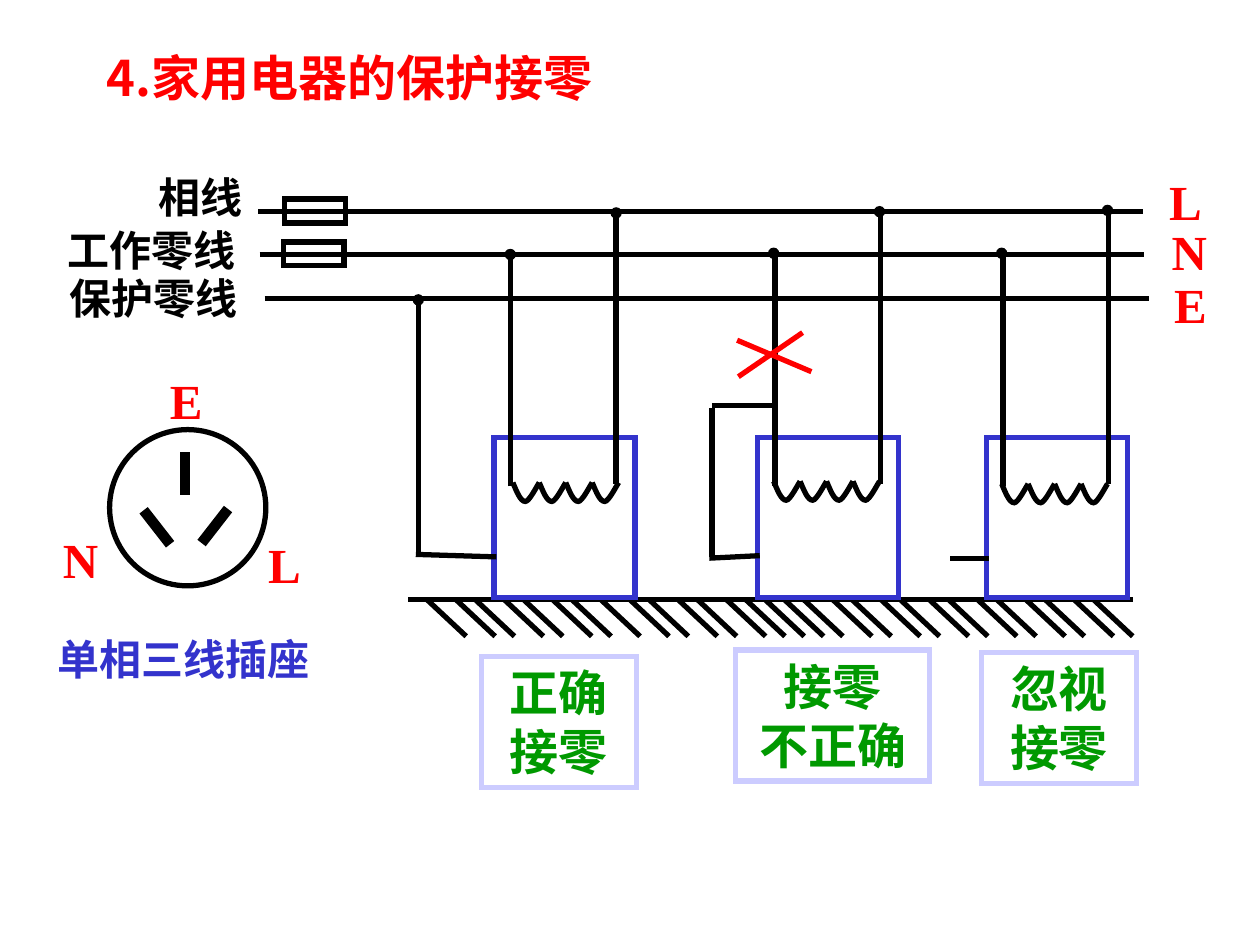
from lxml.etree import Element, SubElement
from pptx import Presentation
from pptx.dml.color import RGBColor
from pptx.enum.shapes import MSO_CONNECTOR, MSO_SHAPE
from pptx.enum.text import MSO_ANCHOR, PP_ALIGN
from pptx.oxml.ns import qn
from pptx.util import Inches, Pt

HUES = {"ink": "000000", "red": "FF0000", "blue": "3333CC",
        "pale": "CCCCFF", "green": "009900"}
SANS, SERIF = "Noto Sans CJK SC", "Times New Roman"
GROUND = 4.76
STEP = 5.29 / 69  # spacing unit of the ground hatching
COIL = 0.21  # width of one coil turn
ENDS = [(0.1, 0.15), (COIL, 0)]
GRIPS = [[(0.03, 0.07), (0.06, 0.15)], [(0.13, 0.15), (0.19, 0.03)]]


def tint(hue):
    return RGBColor.from_string(HUES[hue])


def write(frame, text, size=28, hue="red", font=SERIF, align=PP_ALIGN.LEFT):
    """Set one paragraph; a space in it is drawn at double width."""
    frame.word_wrap = True
    frame.vertical_anchor = MSO_ANCHOR.TOP
    para = frame.paragraphs[0]
    para.alignment = align
    for part in filter(None, text.partition(" ")):
        run = para.add_run()
        run.text = part
        run.font.size = Pt(size)
        run.font.bold = True
        run.font.color.rgb = tint(hue)
        run.font.name = font
        SubElement(run.font._element, qn("a:ea")).set("typeface", SANS)
        if part == " ":
            run.font._element.set("spc", str(size * 25))


def label(slide, text, x, y, w, h=0.57, **style):
    box = slide.shapes.add_textbox(Inches(x), Inches(y), Inches(w), Inches(h))
    write(box.text_frame, text, **style)


def line(slide, x1, y1, x2, y2, hue="ink", width=3):
    wire = slide.shapes.add_connector(
        MSO_CONNECTOR.STRAIGHT, Inches(x1), Inches(y1), Inches(x2), Inches(y2))
    wire.line.color.rgb = tint(hue)
    wire.line.width = Pt(width)
    SubElement(wire._element.spPr, qn("a:effectLst"))


def dress(item, hue="ink", fill=None, width=3):
    """Set fill and a sharp-cornered outline."""
    item.shadow.inherit = False
    if fill:
        item.fill.solid()
        item.fill.fore_color.rgb = tint(fill)
    else:
        item.fill.background()
    item.line.color.rgb = tint(hue)
    item.line.width = Pt(width)
    SubElement(item.line._get_or_add_ln(), qn("a:miter")).set("lim", "800000")


def shape(slide, x, y, w, h, kind=MSO_SHAPE.RECTANGLE, **style):
    item = slide.shapes.add_shape(kind, Inches(x), Inches(y), Inches(w), Inches(h))
    dress(item, **style)
    return item


def dot(slide, x, y):
    shape(slide, x, y, 0.08, 0.08, MSO_SHAPE.OVAL, fill="ink", width=0.75)


def curve(arc):
    """Turn the two straight segments of a coil turn into Bezier curves."""
    for node, grips in zip(list(arc._element.iter(qn("a:lnTo"))), GRIPS):
        node.tag = qn("a:cubicBezTo")
        for n, (x, y) in enumerate(grips):
            node.insert(n, Element(qn("a:pt"), x=str(Inches(x)), y=str(Inches(y))))


def coil(slide, left, top):
    for turn in range(4):
        x = left + turn * COIL
        pen = slide.shapes.build_freeform(Inches(x), Inches(top))
        pen.add_line_segments(
            [(Inches(x + dx), Inches(top + dy)) for dx, dy in ENDS], close=False)
        arc = pen.convert_to_shape()
        curve(arc)
        dress(arc)


def mains(slide):
    for x, y in ((2.05, 1.68), (2.06, 2.02), (2.1, 2.37)):
        line(slide, x, y, x + 7.02, y)
    for x, y in ((2.26, 1.58), (2.25, 1.92)):
        shape(slide, x, y, 0.48, 0.19)
    for text, x, y, w in (("相线", 1.16, 1.31, 1.25), ("工作零线", 0.44, 1.73, 1.6),
                          ("保护零线", 0.45, 2.11, 1.6)):
        label(slide, text, x, y, w, 0.5, size=24, hue="ink")
    for text, x, y in (("L", 9.18, 1.31), ("N", 9.2, 1.71), ("E", 9.22, 2.13)):
        label(slide, text, x, y, 0.46)


def ground(slide):
    """Ground lines with hatching: each run is one stroke, then pairs."""
    for x1, x2 in ((3.24, 4.85), (5.54, 8.99), (4.7, 5.85)):
        line(slide, x1, GROUND, x2, GROUND)
    for first, pairs in ((0, range(3, 14, 5)), (18, range(21, 32, 5)),
                         (35, range(37, 68, 5))):
        for n in [first] + [p + d for p in pairs for d in (0, 2)]:
            x = 3.39 + n * STEP
            line(slide, x, GROUND, x + 0.31, GROUND + 0.29)


def load(slide, case, left, right, turns):
    """Appliance case, its N and L wires, and the coil between them."""
    shape(slide, case, 3.47, 1.12, 1.27, hue="blue")
    line(slide, left, 3.86, left, 2)
    line(slide, right, 3.84, right, 1.66)
    coil(slide, *turns)


def verdict(slide, text, x, y, w):
    box = shape(slide, x, y, w, 1.04, hue="pale")
    write(box.text_frame, text, hue="green", align=PP_ALIGN.CENTER)


def earth(slide):
    """Wires that lead from the cases to the neutral lines."""
    for ends in ((3.32, 2.35, 3.32, 4.42), (3.3, 4.4, 3.94, 4.42),
                 (5.65, 3.24, 5.65, 4.42), (5.65, 3.22, 6.15, 3.22),
                 (5.63, 4.43, 6.03, 4.41), (7.54, 4.43, 7.85, 4.43)):
        line(slide, *ends)


def socket(slide):
    shape(slide, 0.87, 3.41, 1.24, 1.24, MSO_SHAPE.OVAL)
    for ends in ((1.47, 3.59, 1.47, 3.93), (1.14, 4.05, 1.35, 4.32),
                 (1.81, 4.04, 1.6, 4.31)):
        line(slide, *ends, width=6)
    for text, x, y, w in (("L", 2.03, 4.19, 0.54), ("N", 0.4, 4.15, 0.52),
                          ("E", 1.25, 2.89, 0.44)):
        label(slide, text, x, y, w)
    label(slide, "单相三线插座", 0.36, 4.98, 2.39, 0.5, size=24, hue="blue")


def main():
    deck = Presentation()
    deck.slide_width, deck.slide_height = Inches(10), Inches(7.5)
    slide = deck.slides.add_slide(deck.slide_layouts[6])
    label(slide, "4.家用电器的保护接零", 0.75, 0.33, 6.25, font=SANS)
    mains(slide)
    ground(slide)
    load(slide, 3.92, 4.05, 4.89, (4.07, 3.83))
    load(slide, 6.01, 6.15, 6.99, (6.14, 3.82))
    load(slide, 7.83, 7.96, 8.8, (7.95, 3.84))
    earth(slide)
    verdict(slide, "正确接零", 3.82, 5.21, 1.23)
    verdict(slide, "接零 不正确", 5.84, 5.16, 1.54)
    verdict(slide, "忽视接零", 7.79, 5.18, 1.23)
    for x, y in ((3.28, 2.34), (4.01, 1.98), (4.85, 1.65), (6.1, 1.97),
                 (6.94, 1.64), (7.91, 1.97), (8.75, 1.63)):
        dot(slide, x, y)
    line(slide, 5.85, 2.7, 6.44, 2.95, hue="red")
    line(slide, 6.37, 2.64, 5.86, 2.99, hue="red")
    socket(slide)
    deck.save("out.pptx")


if __name__ == "__main__":
    main()
